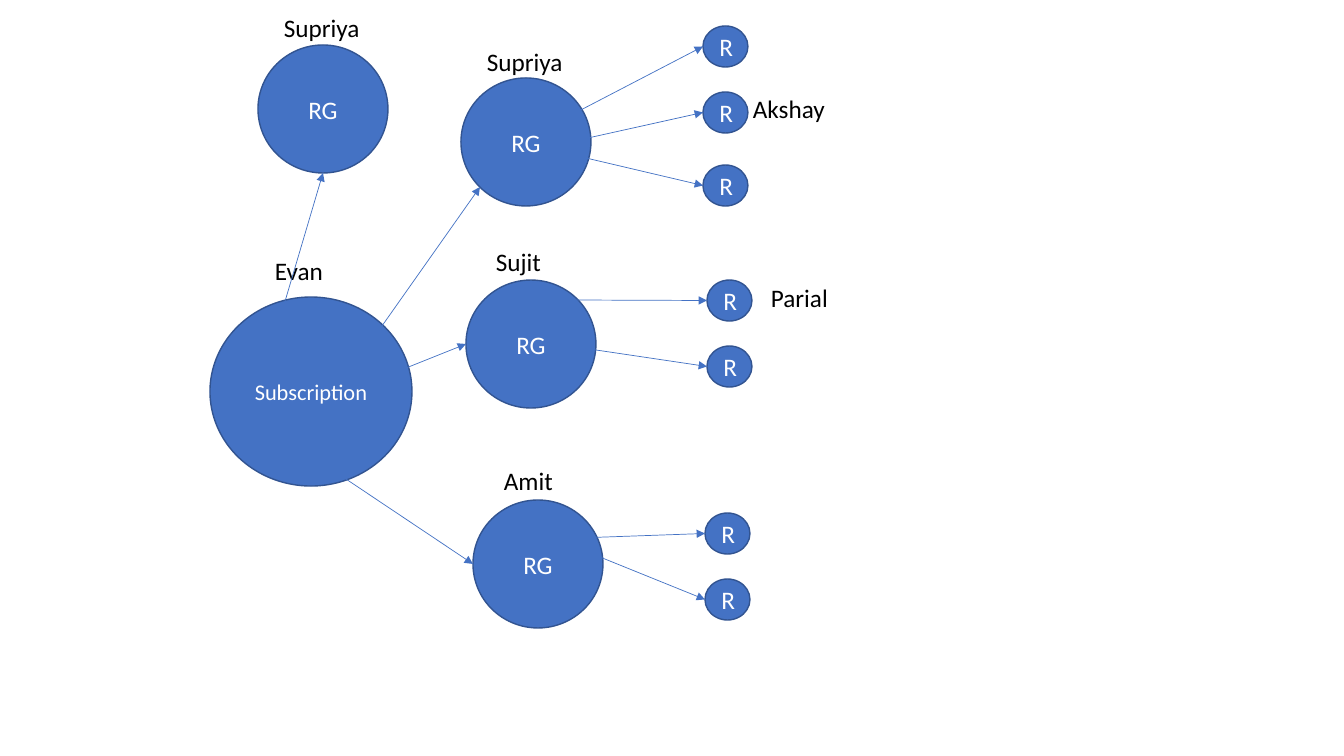
"""Build the slide of a subscription, its resource groups (RG), resources (R) and their owners."""
from lxml.etree import SubElement
from pptx import Presentation
from pptx.dml.color import RGBColor
from pptx.enum.shapes import MSO_CONNECTOR as CXN, MSO_SHAPE as SHAPE
from pptx.enum.text import MSO_ANCHOR as ANCHOR, MSO_AUTO_SIZE as AUTO, PP_ALIGN as ALIGN
from pptx.oxml.ns import qn
from pptx.util import Pt

PX = 914400 / 100.8
BLUE = RGBColor(0x44, 0x72, 0xC4)
EDGE = RGBColor(0x32, 0x54, 0x91)
WHITE = RGBColor(0xFF, 0xFF, 0xFF)
BLACK = RGBColor(0, 0, 0)
RG_W, RG_H = 130, 128
R_W, R_H = 45, 41
LABEL_H = 40


def emu(*pixels):
    return [round(v * PX) for v in pixels]


def write(sp, text, color, size=18, **frame):
    tf = sp.text_frame
    for name, value in frame.items():
        setattr(tf, name, value)
    r = tf.paragraphs[0].add_run()
    r.text = text
    r.font.color.rgb = color
    for name, value in {"name": "Calibri", "size": Pt(size)}.items():
        setattr(r.font, name, value)


prs = Presentation()
prs.slide_width, prs.slide_height = emu(1344, 756)
s = prs.slides.add_slide(prs.slide_layouts[6])

groups = [
    (461, 78, (382, 326), (480, 187),
     [(703, 26, 552, 125), (703, 92, 570, 142), (703, 165, 586, 158)]),
    (466, 280, (406, 368), (466, 344), [(707, 280, 566, 300), (707, 346, 569, 346)]),
    (473, 500, (340, 475), (473, 564), [(705, 513, 578, 538), (705, 579, 595, 555)]),
    (258, 45, (276, 332), (323, 173), []),
]
labels = [
    ("Evan", 265, 250, 69), ("Supriya", 477, 41, 97), ("Sujit", 486, 241, 65),
    ("Amit", 494, 460, 69), ("Akshay", 743, 88, 93), ("Parial", 761, 277, 78),
    ("Supriya", 274, 7, 97),
]

circles = [("Subscription", 16, 210, 297, 202, 189)]
arrows = []
for x, y, start, end, resources in groups:
    circles.append(("RG", 18, x, y, RG_W, RG_H))
    arrows.append((*start, *end))
    for rx, ry, from_x, from_y in resources:
        circles.append(("R", 18, rx, ry, R_W, R_H))
        arrows.append((from_x, from_y, rx, ry + R_H / 2))

for text, size, *box in circles:
    sp = s.shapes.add_shape(SHAPE.OVAL, *emu(*box))
    sp.shadow.inherit = False
    sp.fill.solid()
    sp.fill.fore_color.rgb = BLUE
    sp.line.color.rgb = EDGE
    sp.line.width = Pt(1)
    write(sp, text, WHITE, size, vertical_anchor=ANCHOR.MIDDLE)
    sp.text_frame.paragraphs[0].alignment = ALIGN.CENTER

for text, x, y, w in labels:
    sp = s.shapes.add_textbox(*emu(x, y, w, LABEL_H))
    write(sp, text, BLACK, word_wrap=False, auto_size=AUTO.SHAPE_TO_FIT_TEXT)

for ends in arrows:
    sp = s.shapes.add_connector(CXN.STRAIGHT, *emu(*ends))
    sp.line.color.rgb = BLUE
    sp.line.width = Pt(0.5)
    SubElement(sp.line._get_or_add_ln(), qn("a:tailEnd"), type="triangle")
    SubElement(sp._element.spPr, qn("a:effectLst"))

prs.save("out.pptx")
